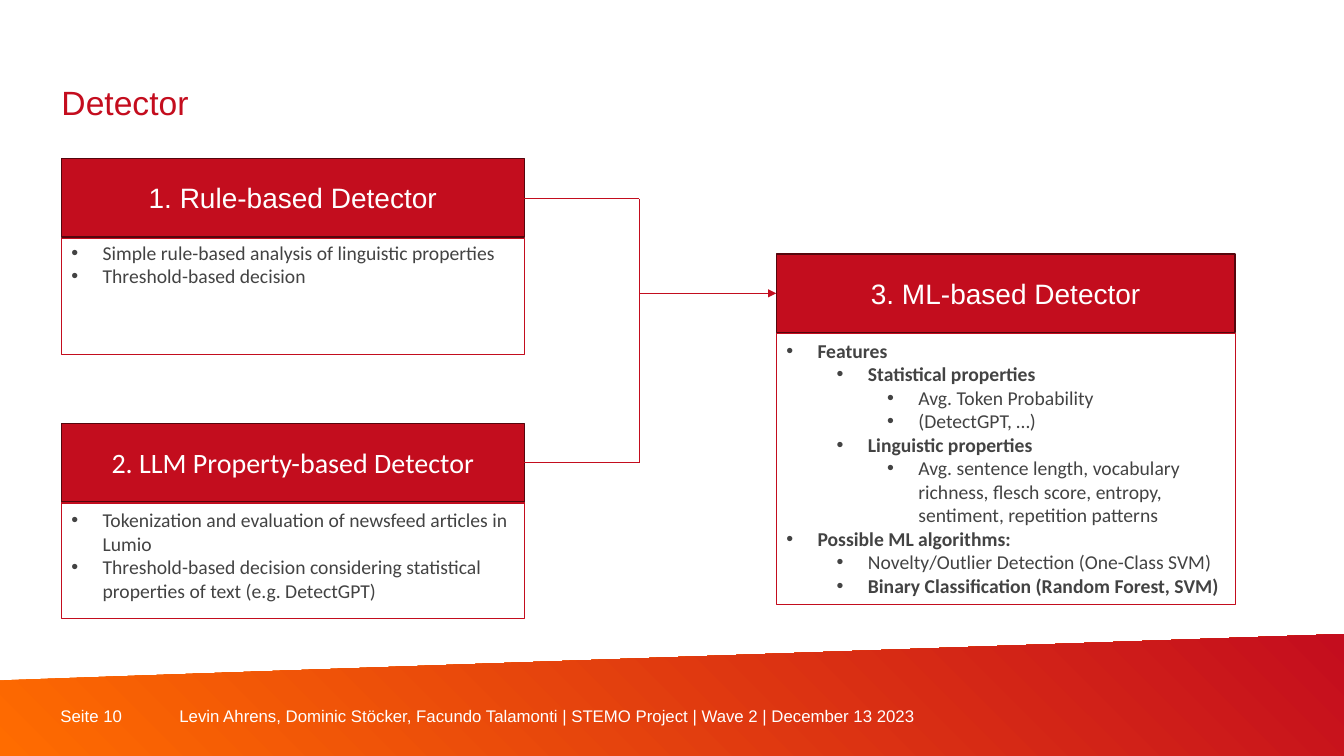
from dataclasses import dataclass

from lxml.etree import SubElement
from pptx import Presentation
from pptx.dml.color import RGBColor
from pptx.enum.shapes import MSO_CONNECTOR, MSO_SHAPE
from pptx.enum.text import MSO_ANCHOR, MSO_AUTO_SIZE, PP_ALIGN
from pptx.oxml.ns import qn
from pptx.util import Pt

PX = 9144  # 100 px to the inch
SLIDE_W, SLIDE_H = 1333, 750
HEADER_H = 78
COLORS = {
    "title": "C40D1E",
    "red": "C30D1E",
    "header_edge": "55060D",
    "orange": "FF6C00",
    "body": "434343",
    "white": "FFFFFF",
}


@dataclass(frozen=True)
class Bullet:
    text: str
    level: int = 0
    bold: bool = False


@dataclass(frozen=True)
class Detector:
    heading: str
    heading_font: str
    left: int
    top: int
    width: int
    frame_top: int
    frame_height: int
    body_top: int
    body_height: int
    bullets: tuple[Bullet, ...]


@dataclass(frozen=True)
class Link:
    start: tuple[int, int]
    end: tuple[int, int]
    arrow: bool = False


DETECTORS = (
    Detector("1. Rule-based Detector", "Arial", 61, 157, 459, 237, 115, 234, 57, (
        Bullet("Simple rule-based analysis of linguistic properties"),
        Bullet("Threshold-based decision"),
    )),
    Detector("2. LLM Property-based Detector", "Calibri", 61, 420, 459, 499, 115, 499, 104, (
        Bullet("Tokenization and evaluation of newsfeed articles in Lumio"),
        Bullet("Threshold-based decision considering statistical properties of text (e.g. DetectGPT)"),
    )),
    Detector("3. ML-based Detector", "Arial", 770, 252, 455, 331, 269, 331, 269, (
        Bullet("Features", bold=True),
        Bullet("Statistical properties", 1, True),
        Bullet("Avg. Token Probability", 2),
        Bullet("(DetectGPT, …)", 2),
        Bullet("Linguistic properties", 1, True),
        Bullet("Avg. sentence length, vocabulary richness, flesch score, entropy, "
               "sentiment, repetition patterns", 2),
        Bullet("Possible ML algorithms:", bold=True),
        Bullet("Novelty/Outlier Detection (One-Class SVM)", 1),
        Bullet("Binary Classification (Random Forest, SVM)", 1, True),
    )),
)

JOIN_X, RULE_Y, LLM_Y, ML_Y = 634, 197, 459, 291
LINKS = (
    Link((JOIN_X, ML_Y), (770, ML_Y), arrow=True),
    Link((519, LLM_Y), (JOIN_X, LLM_Y)),
    Link((519, RULE_Y), (JOIN_X, RULE_Y)),
    Link((JOIN_X, RULE_Y), (JOIN_X, LLM_Y)),
)


def rgb(name: str) -> RGBColor:
    return RGBColor.from_string(COLORS[name])


def box(left: int, top: int, width: int, height: int) -> tuple[int, ...]:
    return tuple(length * PX for length in (left, top, width, height))


def write(paragraph, text: str, *, size: int, color: str, font: str = "Arial",
          bold: bool = False, align=PP_ALIGN.LEFT) -> None:
    paragraph.alignment = align
    run = paragraph.add_run()
    run.text = text
    run.font.size = Pt(size)
    run.font.name = font
    run.font.bold = bold
    run.font.color.rgb = rgb(color)


def prepare(frame, anchor, inset: bool = True) -> None:
    frame.word_wrap = True
    frame.auto_size = MSO_AUTO_SIZE.NONE
    frame.vertical_anchor = anchor
    if not inset:
        frame.margin_left = frame.margin_top = frame.margin_right = frame.margin_bottom = 0


def add_rectangle(slide, area: tuple[int, ...], edge: str, edge_pt: float, fill: str | None = None):
    rectangle = slide.shapes.add_shape(MSO_SHAPE.RECTANGLE, *area)
    rectangle.shadow.inherit = False
    if fill:
        rectangle.fill.solid()
        rectangle.fill.fore_color.rgb = rgb(fill)
    else:
        rectangle.fill.background()
    rectangle.line.color.rgb = rgb(edge)
    rectangle.line.width = Pt(edge_pt)
    return rectangle


def add_footer(slide) -> None:
    outline = slide.shapes.build_freeform(0, 675, scale=PX)
    outline.add_line_segments([(SLIDE_W, 629), (SLIDE_W, SLIDE_H), (0, SLIDE_H)], close=True)
    band = outline.convert_to_shape()
    band.shadow.inherit = False
    band.line.fill.background()
    band.fill.gradient()
    band.fill.gradient_angle = 45
    for stop, color in zip(band.fill.gradient_stops, ("orange", "title")):
        stop.color.rgb = rgb(color)

    for left, width, text in (
        (60, 118, "Seite 10"),
        (178, 833, "Levin Ahrens, Dominic Stöcker, Facundo Talamonti | STEMO Project | Wave 2 | December 13 2023"),
    ):
        label = slide.shapes.add_textbox(*box(left, 700, width, 21)).text_frame
        prepare(label, MSO_ANCHOR.MIDDLE, inset=False)
        write(label.paragraphs[0], text, size=12, color="white")


def add_title(slide, text: str) -> None:
    title = slide.shapes.title
    title.left, title.top, title.width, title.height = box(61, 43, 909, 78)
    prepare(title.text_frame, MSO_ANCHOR.BOTTOM, inset=False)
    paragraph = title.text_frame.paragraphs[0]
    paragraph.line_spacing = Pt(28)
    write(paragraph, text, size=24, color="title")


def add_bullet(paragraph, bullet: Bullet) -> None:
    paragraph.level = bullet.level
    write(paragraph, bullet.text, size=14, color="body", font="Calibri", bold=bullet.bold)
    properties = paragraph._p.get_or_add_pPr()
    properties.set("marL", str((31 + 50 * bullet.level) * PX))
    properties.set("indent", str(-31 * PX))
    SubElement(properties, qn("a:buFont")).set("typeface", "Arial")
    SubElement(properties, qn("a:buChar")).set("char", "•")


def add_detector(slide, detector: Detector) -> None:
    left, width = detector.left, detector.width
    header = add_rectangle(slide, box(left, detector.top, width, HEADER_H), "header_edge", 1, "red")
    prepare(header.text_frame, MSO_ANCHOR.MIDDLE)
    write(header.text_frame.paragraphs[0], detector.heading, size=20, color="white",
          font=detector.heading_font, align=PP_ALIGN.CENTER)

    add_rectangle(slide, box(left, detector.frame_top, width, detector.frame_height), "red", 0.75)

    body = slide.shapes.add_textbox(
        *box(left, detector.body_top, width, detector.body_height)).text_frame
    prepare(body, MSO_ANCHOR.TOP)
    for index, bullet in enumerate(detector.bullets):
        add_bullet(body.add_paragraph() if index else body.paragraphs[0], bullet)


def add_link(slide, link: Link) -> None:
    ends = (length * PX for length in (*link.start, *link.end))
    connector = slide.shapes.add_connector(MSO_CONNECTOR.STRAIGHT, *ends)
    connector.line.color.rgb = rgb("red")
    connector.line.width = Pt(0.5)
    if link.arrow:
        SubElement(connector.line._get_or_add_ln(), qn("a:tailEnd")).set("type", "triangle")
    SubElement(connector._element.spPr, qn("a:effectLst"))


def main() -> None:
    deck = Presentation()
    deck.slide_width, deck.slide_height = SLIDE_W * PX, SLIDE_H * PX
    slide = deck.slides.add_slide(deck.slide_layouts[5])
    add_footer(slide)
    add_title(slide, "Detector")
    for detector in DETECTORS:
        add_detector(slide, detector)
    for link in LINKS:
        add_link(slide, link)
    deck.save("out.pptx")


if __name__ == "__main__":
    main()
